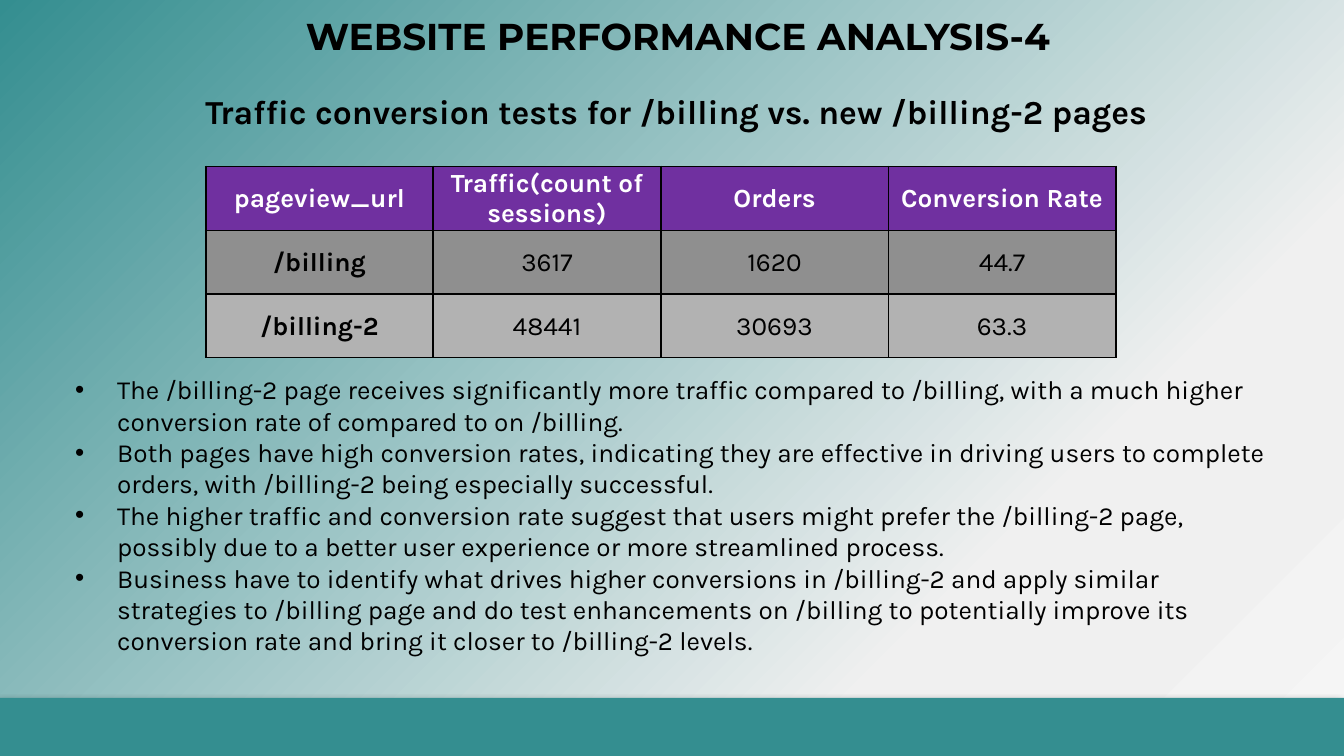
"""Build the website performance slide comparing the two billing pages."""
from lxml import etree
from pptx import Presentation
from pptx.dml.color import RGBColor
from pptx.enum.shapes import MSO_SHAPE
from pptx.enum.text import MSO_ANCHOR, MSO_AUTO_SIZE, PP_ALIGN
from pptx.oxml import parse_xml
from pptx.oxml.ns import nsdecls, qn
from pptx.util import Pt

RECTANGLE = MSO_SHAPE.RECTANGLE
MIDDLE = MSO_ANCHOR.MIDDLE
CENTER = PP_ALIGN.CENTER
GROW = MSO_AUTO_SIZE.SHAPE_TO_FIT_TEXT

TEAL = RGBColor(0x34, 0x8E, 0x90)
PURPLE = RGBColor(0x70, 0x30, 0xA0)
DARK_GRAY = RGBColor(0x8F, 0x8F, 0x8F)
LIGHT_GRAY = RGBColor(0xB2, 0xB2, 0xB2)
MIST = RGBColor(0xF0, 0xF0, 0xF0)
PALE = RGBColor(0xF5, 0xF5, 0xF5)
BLACK = RGBColor(0, 0, 0)
WHITE = RGBColor(255, 255, 255)

GRADIENT = [(0, TEAL), (74, MIST), (83, MIST), (100, PALE)]
ROWS = [
    ("pageview_url", "Traffic(count of sessions)", "Orders", "Conversion Rate"),
    ("/billing", "3617", "1620", "44.7"),
    ("/billing-2", "48441", "30693", "63.3"),
]
ROW_FILLS = [PURPLE, DARK_GRAY, LIGHT_GRAY]
FINDINGS = [
    "The /billing-2 page receives significantly more traffic compared to /billing, "
    "with a much higher conversion rate of compared to on /billing.",
    "Both pages have high conversion rates, indicating they are effective in driving "
    "users to complete orders, with /billing-2 being especially successful.",
    "The higher traffic and conversion rate suggest that users might prefer the "
    "/billing-2 page, possibly due to a better user experience or more streamlined process.",
    "Business have to identify what drives higher conversions in /billing-2 and apply "
    "similar strategies to /billing page and do test enhancements on /billing to "
    "potentially improve its conversion rate and bring it closer to /billing-2 levels.",
]


def style(para, size, name="Karla", color=BLACK, bold=False):
    for span in para.runs:
        span.font.size = Pt(size)
        span.font.name = name
        span.font.color.rgb = color
        span.font.bold = bold


def add_text(left, top, width, height, lines):
    box = page.shapes.add_textbox(Pt(left), Pt(top), Pt(width), Pt(height))
    frame = box.text_frame
    frame.word_wrap = True
    frame.auto_size = GROW
    frame.text = "\n".join(lines)
    return frame.paragraphs


deck = Presentation()
deck.slide_width = Pt(720)
deck.slide_height = Pt(405)
page = deck.slides.add_slide(deck.slide_layouts[6])

backdrop = page.background.fill
backdrop.gradient()
backdrop.gradient_angle = 315
stops = page.background._cSld.find(".//" + qn("a:gsLst"))
for stop in list(stops):
    stops.remove(stop)
for position, color in GRADIENT:
    stop = etree.SubElement(stops, qn("a:gs"), pos=str(position * 1000))
    etree.SubElement(stop, qn("a:srgbClr"), val=str(color))

footer = page.shapes.add_shape(RECTANGLE, Pt(0), Pt(373.9), Pt(720), Pt(31.1))
footer.fill.solid()
footer.fill.fore_color.rgb = TEAL
footer.line.fill.background()
footer.shadow.inherit = False
footer._element.spPr.find(qn("a:effectLst")).append(parse_xml(
    f'<a:outerShdw {nsdecls("a")} blurRad="{Pt(4)}" dist="{Pt(3)}" dir="8100000" '
    'algn="tr" rotWithShape="0"><a:srgbClr val="000000"><a:alpha val="40000"/>'
    '</a:srgbClr></a:outerShdw>'))

subtitle = add_text(74.9, 45.4, 579.6, 29,
                    ["Traffic conversion tests for /billing vs. new /billing-2 pages "])[0]
subtitle.alignment = CENTER
style(subtitle, 18, bold=True)

table = page.shapes.add_table(len(ROWS), len(ROWS[0]), Pt(110.2), Pt(89.1),
                              Pt(487.6), Pt(102.3)).table
for column in table.columns:
    column.width = Pt(121.9)
for row_index, (values, fill) in enumerate(zip(ROWS, ROW_FILLS)):
    table.rows[row_index].height = Pt(34.1)
    for column_index, value in enumerate(values):
        cell = table.cell(row_index, column_index)
        cell.text = value
        cell.vertical_anchor = MIDDLE
        cell.margin_left = cell.margin_right = cell.margin_top = Pt(0.7)
        cell.margin_bottom = Pt(0)
        cell.fill.solid()
        cell.fill.fore_color.rgb = fill
        para = cell.text_frame.paragraphs[0]
        para.alignment = CENTER
        style(para, 14, color=WHITE if row_index == 0 else BLACK,
              bold=row_index == 0 or column_index == 0)
        for order, side in enumerate(("lnL", "lnR", "lnT", "lnB")):
            cell._tc.tcPr.insert(order, parse_xml(
                f'<a:{side} {nsdecls("a")} w="{Pt(1)}"><a:solidFill>'
                f'<a:srgbClr val="{BLACK}"/></a:solidFill></a:{side}>'))

for para in add_text(33.1, 196.6, 663.1, 159.8, FINDINGS):
    properties = para._p.get_or_add_pPr()
    properties.set("marL", str(Pt(22.5)))
    properties.set("indent", str(Pt(-22.5)))
    bullet_color = etree.SubElement(properties, qn("a:buClr"))
    etree.SubElement(bullet_color, qn("a:srgbClr"), val=str(BLACK))
    etree.SubElement(properties, qn("a:buFont"), typeface="Arial")
    etree.SubElement(properties, qn("a:buChar"), char="•")
    style(para, 14)

title = add_text(146.2, 3.6, 434.2, 31.5, ["WEBSITE PERFORMANCE ANALYSIS-4"])[0]
title.alignment = CENTER
style(title, 20, name="Montserrat", bold=True)

deck.save("out.pptx")
